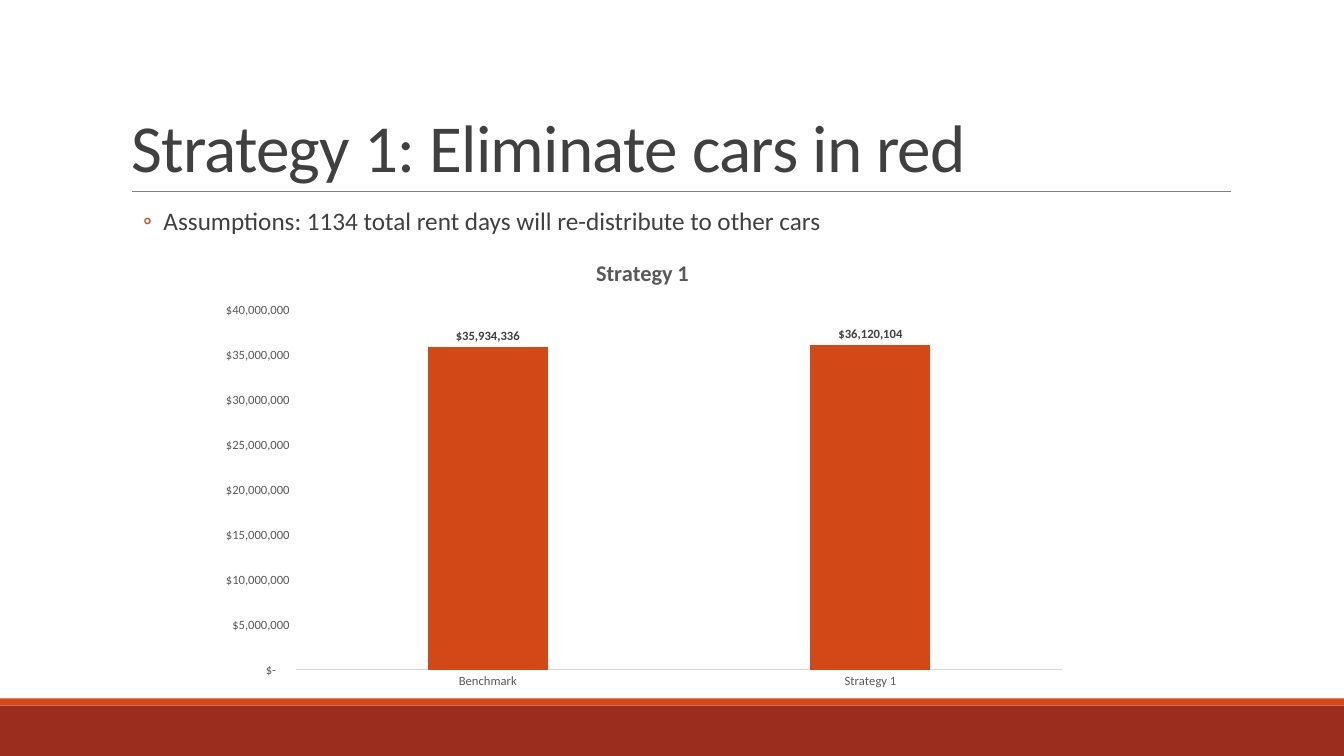
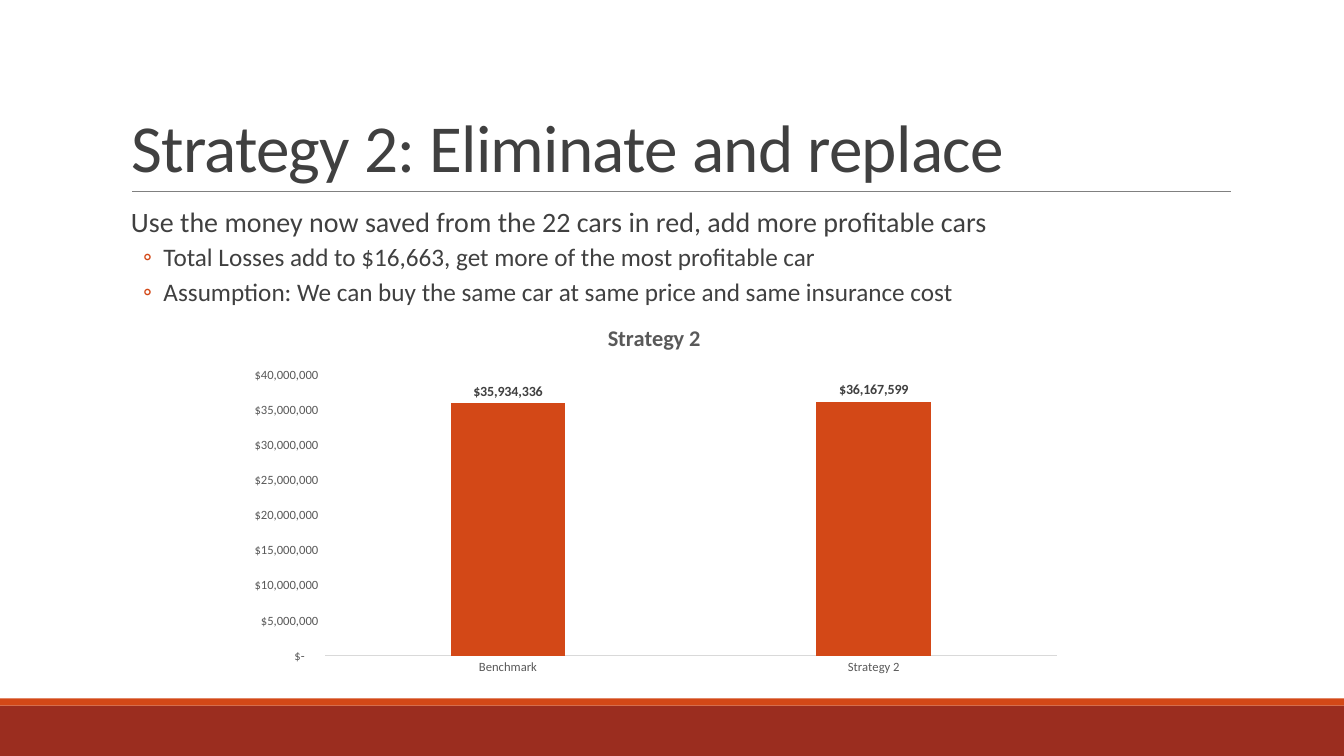
from dataclasses import dataclass

from lxml.etree import SubElement
from pptx import Presentation
from pptx.chart.data import CategoryChartData
from pptx.dml.color import RGBColor
from pptx.enum.chart import XL_CHART_TYPE, XL_LABEL_POSITION, XL_TICK_MARK
from pptx.enum.shapes import MSO_CONNECTOR, MSO_SHAPE
from pptx.enum.text import MSO_ANCHOR, MSO_AUTO_SIZE, PP_ALIGN
from pptx.oxml.ns import qn
from pptx.slide import Slide
from pptx.text.text import Font
from pptx.util import Cm, Pt

# Shared look
COLORS = {
    "footer": "9B2D1F",
    "accent": "D34817",
    "rule": "808080",
    "text": "404040",
    "chart_text": "595959",
    "axis": "D9D9D9",
    "black": "000000",
}
FONT = "Calibri"
SLIDE_WIDTH, SLIDE_HEIGHT = Cm(33.87), Cm(19.05)
MONEY = '_("$"* #,##0_);_("$"* \\(#,##0\\);_("$"* "-"??_);_(@_)'
BENCHMARK_PROFIT = 35934336


@dataclass(frozen=True)
class Box:
    """Position and size in centimetres."""
    left: float
    top: float
    width: float
    height: float

    def lengths(self) -> tuple[Cm, Cm, Cm, Cm]:
        return Cm(self.left), Cm(self.top), Cm(self.width), Cm(self.height)


@dataclass(frozen=True)
class Band:
    box: Box
    color: str


@dataclass(frozen=True)
class ListStyle:
    size: int
    margin: float
    indent: float
    before: int
    after: int
    bullet: str


@dataclass(frozen=True)
class ListItem:
    text: str
    level: int


@dataclass(frozen=True)
class Strategy:
    name: str
    headline: str
    items: tuple[ListItem, ...]
    profit: int
    chart_box: Box
    label_size: int


TITLE_BOX = Box(3.05, 0.79, 27.94, 4.04)
BODY_BOX = Box(3.05, 5.13, 27.94, 11.18)
BANDS = (
    Band(Box(0, 17.78, 33.87, 1.27), "footer"),
    Band(Box(0, 17.6, 33.87, 0.18), "accent"),
)
LIST_STYLES = (
    ListStyle(20, 0.25, 0, 12, 2, ""),
    ListStyle(18, 1.07, -0.51, 2, 4, "◦"),
)

STRATEGIES = (
    Strategy(
        "Strategy 1", "Eliminate cars in red",
        (ListItem("Assumptions: 1134 total rent days will re-distribute to other cars", 1),),
        36120104, Box(5.18, 6.02, 22.02, 11.56), 9,
    ),
    Strategy(
        "Strategy 2", "Eliminate and replace",
        (
            ListItem("Use the money now saved from the 22 cars in red, add more profitable cars", 0),
            ListItem("Total Losses add to $16,663, get more of the most profitable car", 1),
            ListItem("Assumption: We can buy the same car at same price and same insurance cost", 1),
        ),
        36167599, Box(5.92, 7.72, 21.13, 9.47), 10,
    ),
)


def rgb(color: str) -> RGBColor:
    return RGBColor.from_string(COLORS[color])


def style_font(font: Font, size: int, color: str, bold: bool = False) -> None:
    font.name, font.size, font.bold = FONT, Pt(size), bold
    font.color.rgb = rgb(color)


def place(shape, box: Box) -> None:
    shape.left, shape.top, shape.width, shape.height = box.lengths()


def draw_frame(slide: Slide) -> None:
    """Footer bands and the rule below the title."""
    for band in BANDS:
        strip = slide.shapes.add_shape(MSO_SHAPE.RECTANGLE, *band.box.lengths())
        strip.shadow.inherit = False
        strip.fill.solid()
        strip.fill.fore_color.rgb = rgb(band.color)
        strip.line.fill.background()
    rule = slide.shapes.add_connector(
        MSO_CONNECTOR.STRAIGHT, Cm(3.33), Cm(4.83), Cm(31.01), Cm(4.83))
    rule.line.color.rgb = rgb("rule")
    rule.line.width = Pt(0.5)
    SubElement(rule._element.spPr, qn("a:effectLst"))


def write_title(slide: Slide, text: str) -> None:
    title = slide.shapes.title
    place(title, TITLE_BOX)
    frame = title.text_frame
    frame.text = text
    frame.vertical_anchor = MSO_ANCHOR.BOTTOM
    frame.auto_size = MSO_AUTO_SIZE.NONE
    heading = frame.paragraphs[0]
    heading.alignment = PP_ALIGN.LEFT
    heading.line_spacing = 0.85
    style_font(heading.font, 48, "text")
    heading._p.pPr.find(qn("a:defRPr")).set("spc", "-50")


def set_bullet(paragraph, style: ListStyle) -> None:
    properties = paragraph._p.get_or_add_pPr()
    properties.set("marL", str(Cm(style.margin)))
    properties.set("indent", str(Cm(style.indent)))
    if style.bullet:
        bullet_color = SubElement(properties, qn("a:buClr"))
        SubElement(bullet_color, qn("a:srgbClr"), val=COLORS["accent"])
        SubElement(properties, qn("a:buFont"), typeface=FONT)
        SubElement(properties, qn("a:buChar"), char=style.bullet)
    else:
        SubElement(properties, qn("a:buNone"))


def write_list(slide: Slide, items: tuple[ListItem, ...]) -> None:
    body = slide.placeholders[1]
    place(body, BODY_BOX)
    frame = body.text_frame
    frame.text = "\n".join(item.text for item in items)
    frame.auto_size = MSO_AUTO_SIZE.NONE
    frame.margin_left = frame.margin_right = 0
    for paragraph, item in zip(frame.paragraphs, items):
        style = LIST_STYLES[item.level]
        paragraph.level = item.level
        paragraph.line_spacing = 0.9
        paragraph.space_before = Pt(style.before)
        paragraph.space_after = Pt(style.after)
        # Bullet elements precede the font element in the schema
        set_bullet(paragraph, style)
        style_font(paragraph.font, style.size, "text")


def draw_profit_chart(slide: Slide, strategy: Strategy) -> None:
    profits = CategoryChartData(number_format=MONEY)
    profits.categories = ["Benchmark", strategy.name]
    profits.add_series(strategy.name, (BENCHMARK_PROFIT, strategy.profit))
    chart = slide.shapes.add_chart(
        XL_CHART_TYPE.COLUMN_CLUSTERED, *strategy.chart_box.lengths(), profits).chart
    style_font(chart.font, 10, "black")
    chart.has_legend = False
    chart.has_title = True
    chart.chart_title.include_in_layout = False
    caption = chart.chart_title.text_frame
    caption.text = strategy.name
    style_font(caption.paragraphs[0].font, 16, "chart_text", bold=True)

    # Axes
    for axis in (chart.category_axis, chart.value_axis):
        axis.has_major_gridlines = False
        axis.major_tick_mark = axis.minor_tick_mark = XL_TICK_MARK.NONE
        style_font(axis.tick_labels.font, 9, "chart_text")
    chart.category_axis.format.line.color.rgb = rgb("axis")
    chart.category_axis.format.line.width = Pt(0.75)
    dollars = chart.value_axis
    dollars.format.line.fill.background()
    dollars.minimum_scale, dollars.maximum_scale = 0, 40_000_000
    dollars.major_unit = 5_000_000
    dollars.tick_labels.number_format = MONEY
    dollars.tick_labels.number_format_is_linked = False

    # Columns and their values
    columns = chart.plots[0]
    columns.gap_width, columns.overlap = 219, -27
    columns.vary_by_categories = False
    fill = columns.series[0].format.fill
    fill.solid()
    fill.fore_color.rgb = rgb("accent")
    columns.has_data_labels = True
    labels = columns.data_labels
    labels.show_value = True
    labels.position = XL_LABEL_POSITION.OUTSIDE_END
    labels.number_format = MONEY
    labels.number_format_is_linked = False
    style_font(labels.font, strategy.label_size, "text", bold=True)


def main() -> None:
    deck = Presentation()
    deck.slide_width, deck.slide_height = SLIDE_WIDTH, SLIDE_HEIGHT
    for strategy in STRATEGIES:
        slide = deck.slides.add_slide(deck.slide_layouts[1])
        draw_frame(slide)
        write_title(slide, f"{strategy.name}: {strategy.headline}")
        write_list(slide, strategy.items)
        draw_profit_chart(slide, strategy)
    deck.save("out.pptx")


main()
